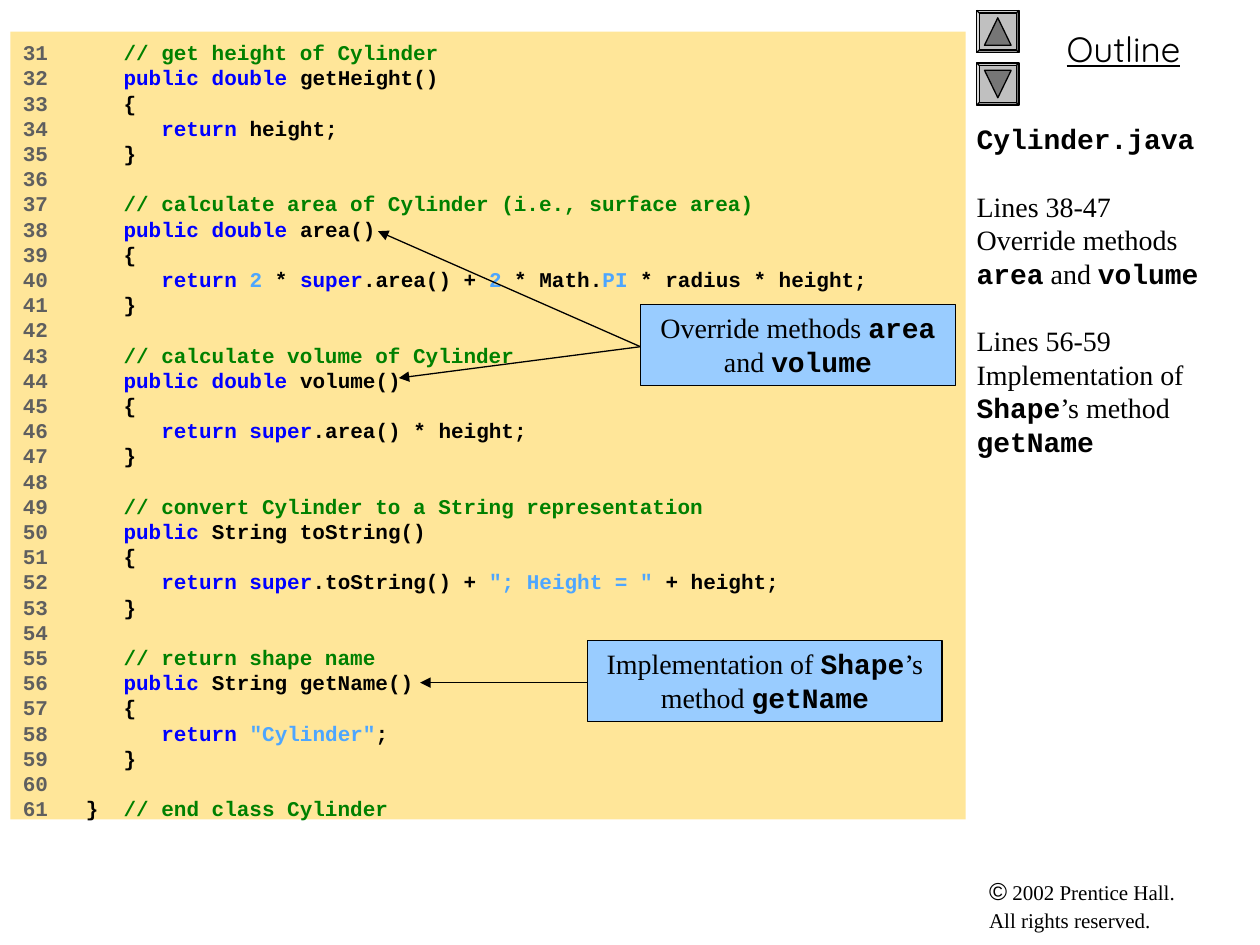
import pptx
import pptx.dml.color
import pptx.enum.shapes
import pptx.enum.text
import pptx.oxml.ns
import pptx.util
from lxml import etree

Cm, Pt = pptx.util.Cm, pptx.util.Pt
RGB = pptx.dml.color.RGBColor.from_string
SHAPE = pptx.enum.shapes.MSO_SHAPE
ALIGN = pptx.enum.text.PP_ALIGN


class Theme:
    code_fill, note_fill, button_fill, arrow_fill = "FFE699", "99CCFF", "C0C0C0", "767676"
    ink = "000000"
    line_width = 0.75
    leading = 1.2
    code_size, note_size, footer_size = 12, 16, 13
    mono = dict(name="Courier New", bold=True)
    # One style per markup tag
    styles = {
        "num": dict(mono, size=code_size, color="5F5F5F"),
        "code": dict(mono, size=code_size, color=ink),
        "key": dict(mono, size=code_size, color="0000FF"),
        "rem": dict(mono, size=code_size, color="008000"),
        "lit": dict(mono, size=code_size, color="4DA6FF"),
        "body": dict(name="Times New Roman", size=note_size, color=ink),
        "name": dict(mono, size=note_size, color=ink),
        "head": dict(name="Quicksand", size=20, underline=True, color=ink),
        "sign": dict(name="Arial", size=14, color=ink),
        "foot": dict(name="Times New Roman", size=12, color=ink),
    }


FIRST_LINE = 31
OPEN, CLOSE = "<code>   {", "<code>   }"
CODE = [
    "<rem>   // get height of Cylinder",
    "<key>   public double<code> getHeight()",
    OPEN,
    "<key>      return<code> height;",
    CLOSE,
    "",
    "<rem>   // calculate area of Cylinder (i.e., surface area)",
    "<key>   public double<code> area()",
    OPEN,
    "<key>      return <lit>2<code> * <key>super<code>.area() + <lit>2<code> * Math."
    "<lit>PI<code> * radius * height;",
    CLOSE,
    "",
    "<rem>   // calculate volume of Cylinder",
    "<key>   public double<code> volume()",
    OPEN,
    "<key>      return super<code>.area() * height;",
    CLOSE,
    "",
    "<rem>   // convert Cylinder to a String representation",
    "<key>   public<code> String toString()",
    OPEN,
    '<key>      return super<code>.toString() +<lit> "; Height = "<code> + height;',
    CLOSE,
    "",
    "<rem>   // return shape name",
    "<key>   public<code> String getName()",
    OPEN,
    '<key>      return <lit>"Cylinder"<code>;',
    CLOSE,
    "",
    "<code>}<rem>  // end class Cylinder",
]

SUMMARY = [
    "<name>Cylinder.java",
    "<body>Lines 38-47\vOverride methods <name>area<body> and <name>volume",
    "<body>Lines 56-59 Implementation of <name>Shape<body>’s method <name>getName",
]


def write(shape, lines, size=None, gap=0, align=ALIGN.LEFT, top=0.13):
    """Fill a shape with tagged lines; size sets the leading, gap the space between."""
    tf = shape.text_frame
    frame = dict(word_wrap=True, vertical_anchor=pptx.enum.text.MSO_ANCHOR.TOP,
                 margin_left=Cm(0.25), margin_right=Cm(0.25),
                 margin_top=Cm(top), margin_bottom=Cm(0.13))
    for key, value in frame.items():
        setattr(tf, key, value)
    for i, line in enumerate(lines):
        p = tf.add_paragraph() if i else tf.paragraphs[0]
        p.alignment = align
        if size:
            p.line_spacing = Pt(size * Theme.leading)
        if i and gap:
            p.space_before = Pt(gap)
        for part in line.split("<")[1:]:
            tag, text = part.split(">", 1)
            for j, piece in enumerate(text.split("\v")):
                if j:
                    p.add_line_break()
                r = p.add_run()
                r.text = piece
                for key, value in Theme.styles[tag].items():
                    if key == "color":
                        r.font.color.rgb = RGB(value)
                    else:
                        setattr(r.font, key, Pt(value) if key == "size" else value)
    return tf


def add_box(s, box, fill, kind=SHAPE.RECTANGLE, outlined=True):
    sp = s.shapes.add_shape(kind, *map(Cm, box))
    sp.shadow.inherit = False
    sp.fill.solid()
    sp.fill.fore_color.rgb = RGB(fill)
    if outlined:
        sp.line.color.rgb = RGB(Theme.ink)
        sp.line.width = Pt(Theme.line_width)
    else:
        sp.line.fill.background()
    return sp


def add_text(s, box, lines, **layout):
    return write(s.shapes.add_textbox(*map(Cm, box)), lines, **layout)


def add_arrow(s, start, end):
    c = s.shapes.add_connector(pptx.enum.shapes.MSO_CONNECTOR.STRAIGHT,
                               *map(Cm, (*start, *end)))
    c.line.color.rgb = RGB(Theme.ink)
    c.line.width = Pt(Theme.line_width)
    qn = pptx.oxml.ns.qn
    props = c._element.spPr
    etree.SubElement(props.get_or_add_ln(), qn("a:tailEnd"), type="triangle")
    etree.SubElement(props, qn("a:effectLst"))


def add_button(s, box, rotation):
    """Bevelled square with a triangle turned by rotation degrees."""
    left, top, width, height = box
    bevel = add_box(s, box, Theme.button_fill, SHAPE.BEVEL)
    bevel.adjustments[0] = 0.06
    w, h = 0.63 * width, 0.65 * height
    inner = (left + (width - w) / 2, top + (height - h) / 2, w, h)
    add_box(s, inner, Theme.arrow_fill, SHAPE.ISOSCELES_TRIANGLE).rotation = rotation


def add_listing(s, box):
    sp = add_box(s, box, Theme.code_fill, outlined=False)
    lines = [f"<num>{n}" + (f"   {line}" if line else "")
             for n, line in enumerate(CODE, FIRST_LINE)]
    write(sp, lines, size=Theme.code_size, top=0.16)


def add_callout(s, box, line, tips):
    """Note box with an arrow from its left edge to each tip."""
    sp = add_box(s, box, Theme.note_fill)
    write(sp, [line], size=Theme.note_size, align=ALIGN.CENTER)
    for tip in tips:
        add_arrow(s, (box[0], box[1] + 0.85), tip)


def add_sidebar(s, box):
    left, top, width, height = box
    for dy, rotation in ((0, 0), (1.06, 180)):
        add_button(s, (left, top + dy, 0.85, 0.85), rotation)
    add_text(s, (left + 0.21, top + 0.21, width - 0.21, 1.12), ["<head>Outline"],
             align=ALIGN.CENTER)
    tf = add_text(s, (left, top + 2.12, width, 15.24), SUMMARY, size=Theme.note_size,
                  gap=Theme.note_size * Theme.leading)
    tf.margin_left = 0
    add_text(s, (left, top + height - 1.38, width - 0.21, 1.38),
             ["<sign>©<foot> 2002 Prentice Hall.\vAll rights reserved."],
             size=Theme.footer_size)


def main():
    prs = pptx.Presentation()
    prs.slide_width, prs.slide_height = Cm(25.4), Cm(19.05)
    s = prs.slides.add_slide(prs.slide_layouts[6])
    add_sidebar(s, (19.69, 0.21, 5.71, 18.74))
    add_listing(s, (0.21, 0.64, 19.26, 15.88))
    add_callout(s, (11.85, 12.91, 7.14, 1.63),
                "<body>Implementation of <name>Shape<body>’s method <name>getName",
                [(8.47, 13.76)])
    add_callout(s, (12.91, 6.14, 6.35, 1.63),
                "<body>Override methods <name>area<body> and <name>volume",
                [(7.62, 4.66), (8.04, 7.62)])
    prs.save("out.pptx")


if __name__ == "__main__":
    main()
